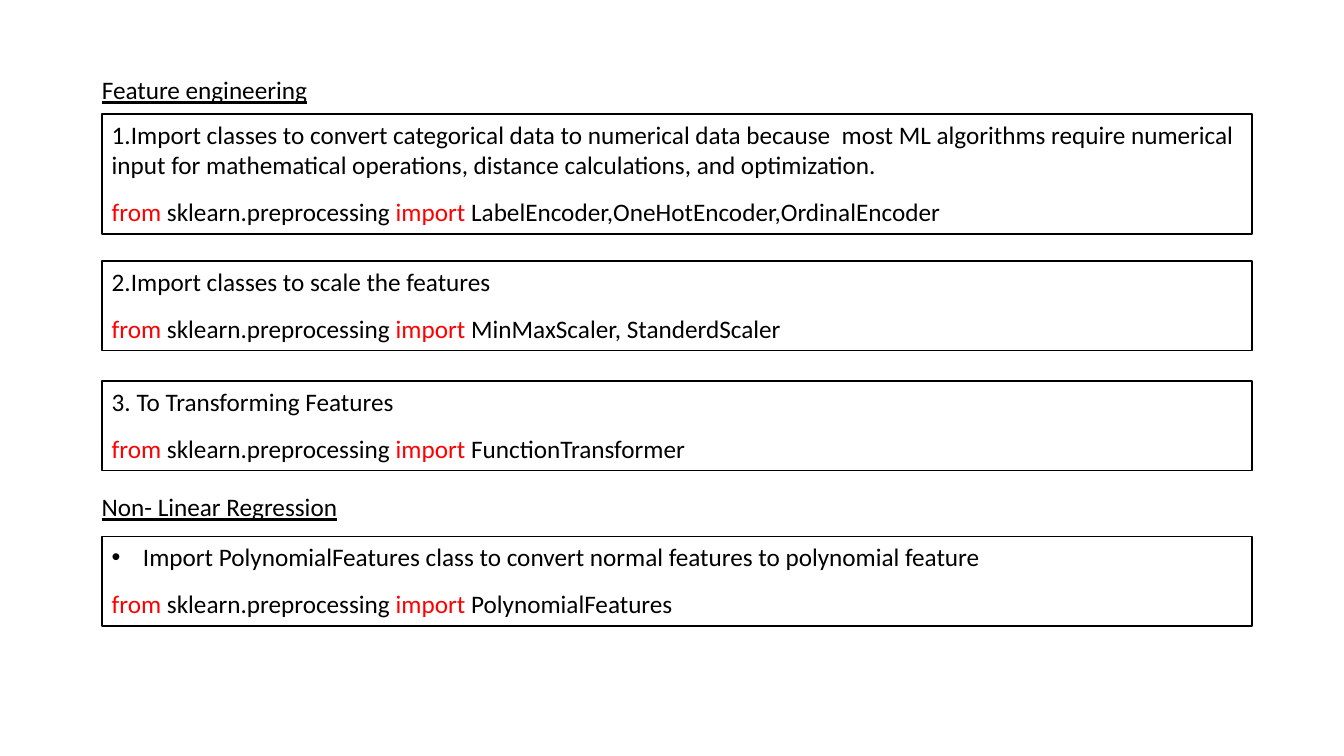
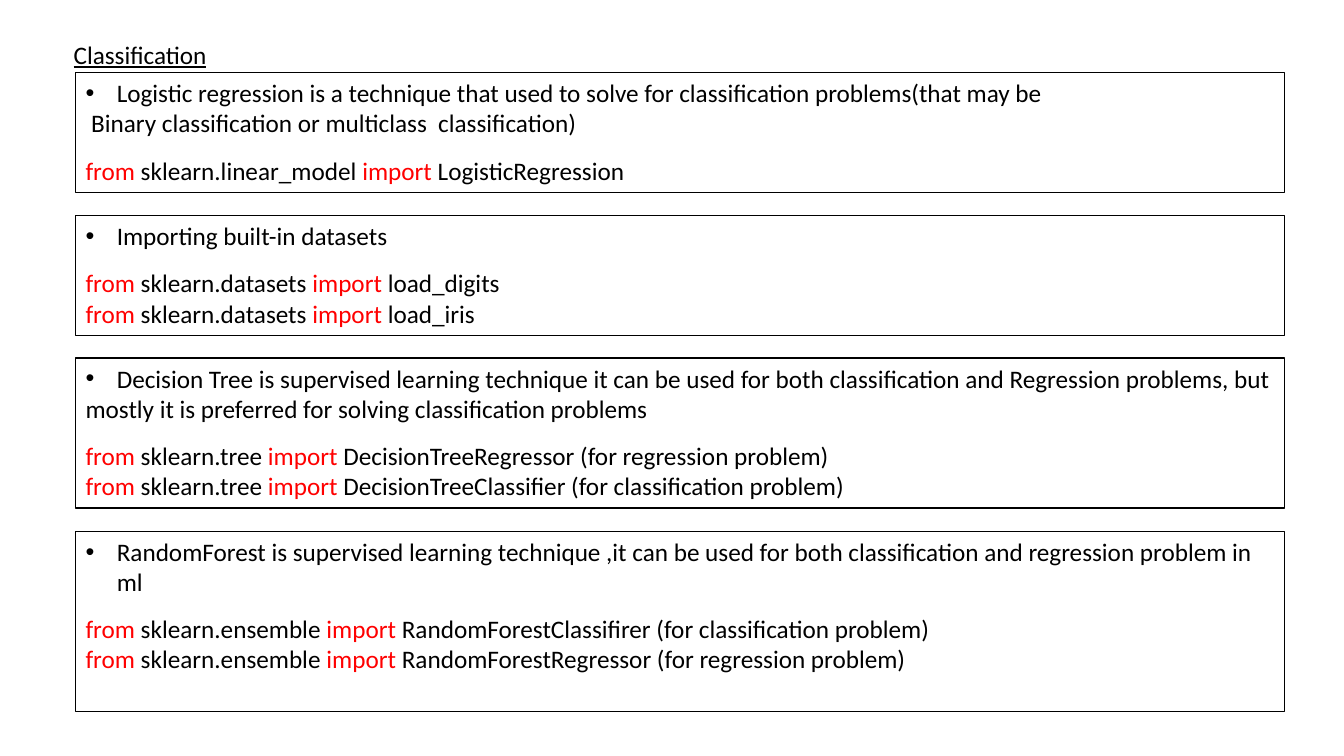
from lxml import etree
from pptx import Presentation
from pptx.dml.color import RGBColor
from pptx.enum.shapes import MSO_SHAPE
from pptx.enum.text import MSO_ANCHOR, MSO_AUTO_SIZE, PP_ALIGN
from pptx.oxml.ns import qn
from pptx.util import Inches, Pt

RECTANGLE = MSO_SHAPE.RECTANGLE
TOP = MSO_ANCHOR.TOP
NO_FIT = MSO_AUTO_SIZE.NONE
LEFT = PP_ALIGN.LEFT

BLACK = RGBColor(0x00, 0x00, 0x00)
WHITE = RGBColor(0xFF, 0xFF, 0xFF)
RED = RGBColor(0xFF, 0x00, 0x00)
FONT = "Calibri"
BODY_SIZE = Pt(18)
CODE_GAP = Pt(12)
HEADING_WIDTH = 2.57
HEADING_HEIGHT = 0.4
LINE_HEIGHT = 0.3
BOX_MARGIN = 0.29
BULLET_INDENT = Inches(0.31)

PAGES = [
    {
        "left": 1.01,
        "width": 11.41,
        "heading_left": 0.91,
        "headings": [(0.69, "Feature engineering"), (4.83, "Non- Linear Regression")],
        "boxes": [
            (1.13, 3, False,
             ["1.Import classes to convert categorical data to numerical data because  most ML algorithms "
              "require numerical input for mathematical operations, distance calculations, and optimization."],
             "sklearn.preprocessing", ["LabelEncoder,OneHotEncoder,OrdinalEncoder"]),
            (2.59, 2, False, ["2.Import classes to scale the features"],
             "sklearn.preprocessing", ["MinMaxScaler, StanderdScaler"]),
            (3.78, 2, False, ["3. To Transforming Features"],
             "sklearn.preprocessing", ["FunctionTransformer"]),
            (5.32, 2, True,
             ["Import PolynomialFeatures class to convert normal features to polynomial feature"],
             "sklearn.preprocessing", ["PolynomialFeatures"]),
        ],
    },
    {
        "left": 0.75,
        "width": 11.99,
        "heading_left": 0.63,
        "headings": [(0.34, "Classification")],
        "boxes": [
            (0.72, 3, True,
             ["Logistic regression is a technique that used to solve for classification problems(that may be",
              " Binary classification or multiclass  classification)"],
             "sklearn.linear_model", ["LogisticRegression"]),
            (2.14, 3, True, ["Importing built-in datasets"],
             "sklearn.datasets", ["load_digits", "load_iris"]),
            (3.55, 4, True,
             ["Decision Tree is supervised learning technique it can be used for both classification and "
              "Regression problems, but",
              "mostly it is preferred for solving classification problems"],
             "sklearn.tree",
             ["DecisionTreeRegressor (for regression problem)",
              "DecisionTreeClassifier (for classification problem)"]),
            (5.27, 5, True,
             ["RandomForest is supervised learning technique ,it can be used for both classification and "
              "regression problem in ml"],
             "sklearn.ensemble",
             ["RandomForestClassifirer (for classification problem)",
              "RandomForestRegressor (for regression problem)"]),
        ],
    },
]


def add_span(para, text, color=BLACK, underline=None):
    para.alignment = LEFT
    span = para.add_run()
    span.text = text
    span.font.name = FONT
    span.font.size = BODY_SIZE
    span.font.color.rgb = color
    span.font.underline = underline


def add_bullet(para):
    properties = para._p.get_or_add_pPr()
    properties.set("marL", str(BULLET_INDENT))
    properties.set("indent", str(-BULLET_INDENT))
    etree.SubElement(properties, qn("a:buFont")).set("typeface", "Arial")
    etree.SubElement(properties, qn("a:buChar")).set("char", "•")


deck = Presentation()
deck.slide_width = Inches(13.33)
deck.slide_height = Inches(7.5)
title_only = deck.slide_layouts[5]

for content in PAGES:
    page = deck.slides.add_slide(title_only)

    for position, (top, text) in enumerate(content["headings"]):
        heading = page.shapes.title if position == 0 else page.shapes.add_textbox(0, 0, 0, 0)
        heading.left, heading.top = Inches(content["heading_left"]), Inches(top)
        heading.width, heading.height = Inches(HEADING_WIDTH), Inches(HEADING_HEIGHT)
        frame = heading.text_frame
        frame.word_wrap = True
        frame.auto_size = NO_FIT
        frame.vertical_anchor = TOP
        add_span(frame.paragraphs[0], text, underline=True)

    for top, line_count, bulleted, notes, module, imports in content["boxes"]:
        box = page.shapes.add_shape(
            RECTANGLE, Inches(content["left"]), Inches(top),
            Inches(content["width"]), Inches(BOX_MARGIN + LINE_HEIGHT * line_count))
        box.shadow.inherit = False
        box.fill.solid()
        box.fill.fore_color.rgb = WHITE
        box.line.color.rgb = BLACK
        box.line.width = Pt(1)
        frame = box.text_frame
        frame.word_wrap = True
        frame.vertical_anchor = TOP

        for position, note in enumerate(notes):
            para = frame.paragraphs[0] if position == 0 else frame.add_paragraph()
            add_span(para, note)
            if bulleted and position == 0:
                add_bullet(para)

        for position, names in enumerate(imports):
            para = frame.add_paragraph()
            if position == 0:
                para.space_before = CODE_GAP
            add_span(para, "from", color=RED)
            add_span(para, f" {module} ")
            add_span(para, "import", color=RED)
            add_span(para, f" {names}")

deck.save("out.pptx")
